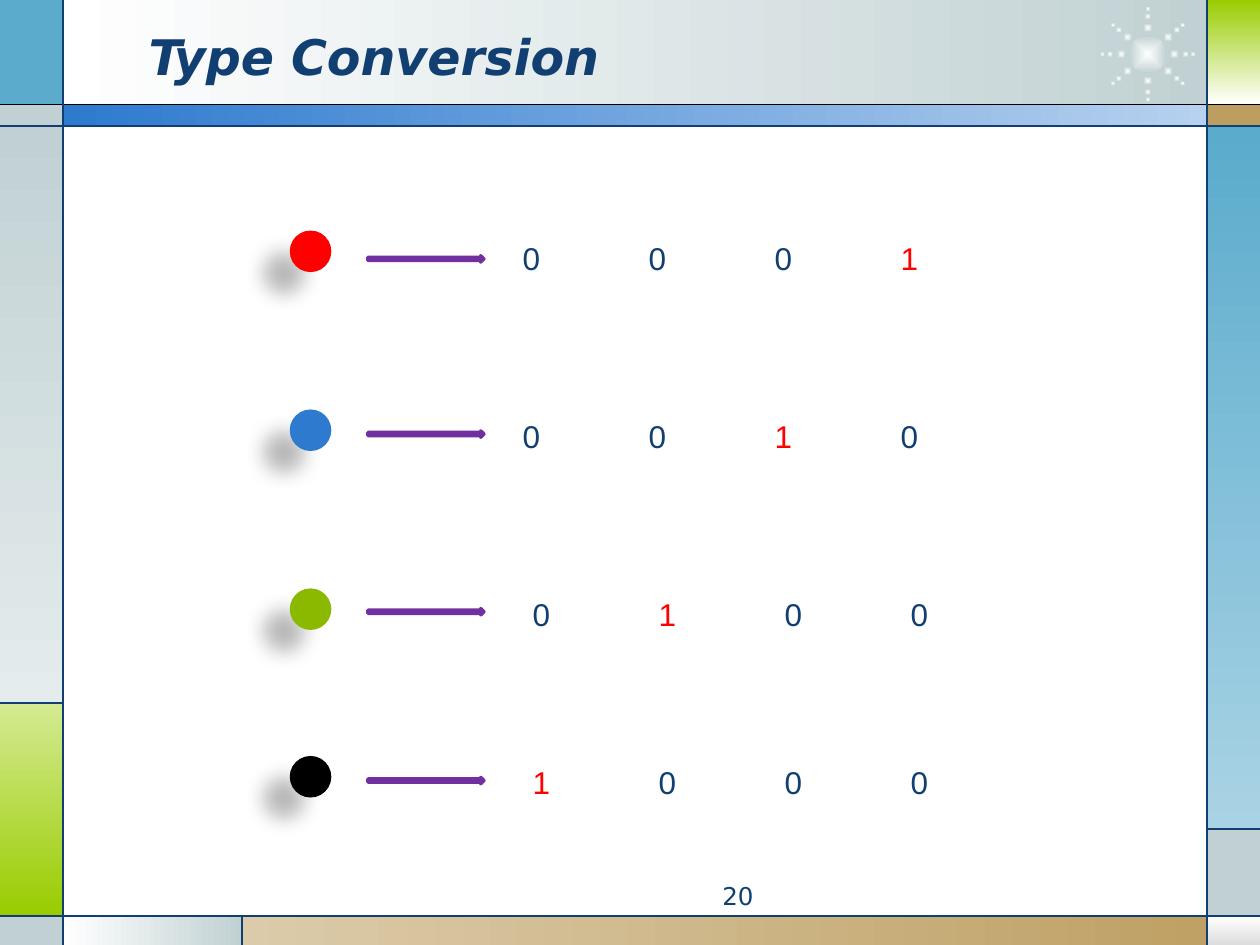
"""Builds the Type Conversion slide: four colours and their one-hot codes."""
from math import cos, radians, sin

from lxml import etree
from pptx import Presentation
from pptx.dml.color import RGBColor
from pptx.enum.shapes import MSO_CONNECTOR, MSO_SHAPE
from pptx.enum.text import MSO_ANCHOR, MSO_AUTO_SIZE, PP_ALIGN
from pptx.oxml import parse_xml
from pptx.oxml.ns import nsdecls, qn
from pptx.util import Inches, Pt

RECT, OVAL, ARROW = MSO_SHAPE.RECTANGLE, MSO_SHAPE.OVAL, MSO_SHAPE.RIGHT_ARROW
STRAIGHT = MSO_CONNECTOR.STRAIGHT
MIDDLE, TOP = MSO_ANCHOR.MIDDLE, MSO_ANCHOR.TOP
LEFT, RIGHT = PP_ALIGN.LEFT, PP_ALIGN.RIGHT
FIT_SHAPE, NO_FIT = MSO_AUTO_SIZE.SHAPE_TO_FIT_TEXT, MSO_AUTO_SIZE.NONE

WHITE = RGBColor(0xFF, 0xFF, 0xFF)
BLACK = RGBColor(0, 0, 0)
NAVY = RGBColor(0x11, 0x3F, 0x71)
RED = RGBColor(0xFF, 0, 0)
GREEN = RGBColor(0x8A, 0xB9, 0)
BLUE = RGBColor(0x2D, 0x7A, 0xCF)
PURPLE = RGBColor(0x70, 0x30, 0xA0)
SKY = RGBColor(0x5A, 0xAB, 0xCC)
PALE_SKY = RGBColor(0xA9, 0xD3, 0xE4)
PALE_BLUE = RGBColor(0xB7, 0xD1, 0xEF)
MIST = RGBColor(0xC1, 0xD1, 0xD3)
PALE_MIST = RGBColor(0xE4, 0xEC, 0xED)
LIME = RGBColor(0x99, 0xCC, 0)
PALE_LIME = RGBColor(0xD4, 0xEA, 0x92)
TAN = RGBColor(0xBD, 0x9E, 0x61)
PALE_TAN = RGBColor(0xDC, 0xCB, 0xAA)
PALE_GREY = RGBColor(0xDD, 0xDD, 0xDD)

WIDTH, HEIGHT = 10, 7.5
RAIL_L, RAIL_R, FOOT_SPLIT = 0.5, 9.58, 1.92
HEAD, BODY, FOOT = 0.83, 1, 7.27
LIME_TOP, MIST_TOP = 5.58, 6.58
ACROSS, DOWN = 0, 270

# left, top, right, bottom, colours, direction
PANELS = [
    (RAIL_L, 0, RAIL_R, HEAD, (WHITE, MIST), ACROSS),
    (0, 0, RAIL_L, HEAD, (SKY,), None),
    (0, HEAD, RAIL_L, BODY, (MIST,), None),
    (0, BODY, RAIL_L, LIME_TOP, (MIST, PALE_MIST), DOWN),
    (0, LIME_TOP, RAIL_L, FOOT, (PALE_LIME, LIME), DOWN),
    (0, FOOT, RAIL_L, HEIGHT, (MIST,), None),
    (RAIL_L, FOOT, FOOT_SPLIT, HEIGHT, (WHITE, MIST), ACROSS),
    (FOOT_SPLIT, FOOT, WIDTH, HEIGHT, (PALE_TAN, TAN), ACROSS),
    (RAIL_R, FOOT, WIDTH, HEIGHT, (WHITE, PALE_GREY), DOWN),
    (RAIL_R, MIST_TOP, WIDTH, FOOT, (MIST,), None),
    (RAIL_R, BODY, WIDTH, MIST_TOP, (SKY, PALE_SKY), DOWN),
    (RAIL_R, HEAD, WIDTH, BODY, (TAN,), None),
    (RAIL_R, 0, WIDTH, HEAD, (LIME, WHITE), DOWN),
    (RAIL_L, HEAD, RAIL_R, BODY, (BLUE, PALE_BLUE), ACROSS),
]
RULES = [
    (0, HEAD, WIDTH, HEAD, BLACK),
    (0, BODY, WIDTH, BODY, NAVY),
    (0, FOOT, WIDTH, FOOT, NAVY),
    (RAIL_L, 0, RAIL_L, HEIGHT, NAVY),
    (RAIL_R, 0, RAIL_R, HEIGHT, NAVY),
    (RAIL_L, LIME_TOP, 0, LIME_TOP, NAVY),
    (FOOT_SPLIT, FOOT, FOOT_SPLIT, HEIGHT, NAVY),
    (RAIL_R, MIST_TOP, WIDTH, MIST_TOP, NAVY),
]
BURST_X, BURST_Y, BURST_CORE = 9.11, 0.43, 0.3
SPOKES = (0, 40, 90, 140, 180, 220, 270, 320)
SPOKE_DOTS = ((0.21, 0.07), (0.3, 0.05), (0.36, 0.04))

# colour, code, dot top, arrow top, code left, code top
CODES = [
    (RED, "0001", 1.83, 2.03, 4.05, 1.85),
    (BLUE, "0010", 3.25, 3.42, 4.05, 3.26),
    (GREEN, "0100", 4.67, 4.83, 4.13, 4.67),
    (BLACK, "1000", 6, 6.17, 4.13, 6.01),
]


def paint(shape, colours, direction=None):
    shape.shadow.inherit = False
    shape.line.fill.background()
    if len(colours) == 1:
        shape.fill.solid()
        shape.fill.fore_color.rgb = colours[0]
        return
    shape.fill.gradient()
    for stop, colour in zip(shape.fill.gradient_stops, colours):
        stop.color.rgb = colour
    shape.fill.gradient_angle = direction or 0


def add_block(shapes, kind, left, top, width, height, colours, direction=None):
    block = shapes.add_shape(kind, *map(Inches, (left, top, width, height)))
    paint(block, colours, direction)
    return block


def add_glow(shapes, x, y, size):
    glow = add_block(shapes, OVAL, x - size / 2, y - size / 2, size, size, (WHITE, MIST))
    linear = glow._element.spPr.find(".//" + qn("a:lin"))
    linear.getparent().replace(linear, parse_xml(
        f'<a:path {nsdecls("a")} path="shape">'
        '<a:fillToRect l="50000" t="50000" r="50000" b="50000"/></a:path>'))


def add_rule(shapes, x1, y1, x2, y2, colour):
    rule = shapes.add_connector(STRAIGHT, *map(Inches, (x1, y1, x2, y2)))
    rule.line.color.rgb = colour
    rule.line.width = Pt(0.75)
    etree.SubElement(rule._element.spPr, qn("a:effectLst"))


def cast_shadow(shape):
    shape._element.spPr.find(qn("a:effectLst")).append(parse_xml(
        f'<a:outerShdw {nsdecls("a")} blurRad="{Pt(11.8)}" dist="{Pt(19.7)}" '
        f'dir="{141 * 60000}" algn="ctr" rotWithShape="0">'
        '<a:srgbClr val="000000"><a:alpha val="28000"/></a:srgbClr></a:outerShdw>'))


def write(shape, runs, size, font="DejaVu Sans", bold=False, italic=False,
          align=LEFT, anchor=TOP, wrap=True, fit=NO_FIT, tabs=()):
    frame = shape.text_frame
    frame.word_wrap, frame.auto_size, frame.vertical_anchor = wrap, fit, anchor
    paragraph = frame.paragraphs[0]
    if tabs:
        stops = etree.SubElement(paragraph._p.get_or_add_pPr(), qn("a:tabLst"))
        for tab in tabs:
            etree.SubElement(stops, qn("a:tab"), pos=str(Inches(tab)), algn="l")
    paragraph.alignment = align
    for text, colour in runs:
        run = paragraph.add_run()
        run.text = text
        run.font.name, run.font.size = font, Pt(size)
        run.font.bold, run.font.italic = bold, italic
        run.font.color.rgb = colour


def add_frame(shapes):
    for left, top, right, bottom, colours, direction in PANELS:
        add_block(shapes, RECT, left, top, right - left, bottom - top, colours, direction)
    add_glow(shapes, BURST_X, BURST_Y, BURST_CORE)
    for angle in map(radians, SPOKES):
        for reach, size in SPOKE_DOTS:
            add_glow(shapes, BURST_X + reach * cos(angle), BURST_Y + reach * sin(angle), size)
    for rule in RULES:
        add_rule(shapes, *rule)


def add_code(shapes, colour, code, dot_top, arrow_top, code_left, code_top):
    cast_shadow(add_block(shapes, OVAL, 2.3, dot_top, 0.33, 0.33, (colour,)))
    arrow = add_block(shapes, ARROW, 2.92, arrow_top, 0.92, 0.05, (PURPLE,))
    arrow.line.color.rgb = PURPLE
    arrow.line.width = Pt(2)
    digits = shapes.add_textbox(*map(Inches, (code_left, code_top, 3.37, 0.4)))
    runs = [("\t" * (place > 0) + digit, RED if digit == "1" else NAVY)
            for place, digit in enumerate(code)]
    write(digits, runs, 18, font="Arial", wrap=False, fit=FIT_SHAPE,
          tabs=range(1, len(code)))


def main():
    deck = Presentation()
    deck.slide_width, deck.slide_height = Inches(WIDTH), Inches(HEIGHT)
    shapes = deck.slides.add_slide(deck.slide_layouts[5]).shapes
    add_frame(shapes)

    title = shapes.title
    title.left, title.top, title.width, title.height = map(Inches, (1.08, 0.13, 7.33, 0.62))
    write(title, [("Type Conversion", NAVY)], 28, bold=True, italic=True, anchor=MIDDLE)
    shapes._spTree.append(title._element)

    page_number = shapes.add_textbox(*map(Inches, (3.75, 6.94, 2.33, 0.27)))
    write(page_number, [("20", NAVY)], 14, align=RIGHT)
    for code in CODES:
        add_code(shapes, *code)
    deck.save("out.pptx")


if __name__ == "__main__":
    main()
